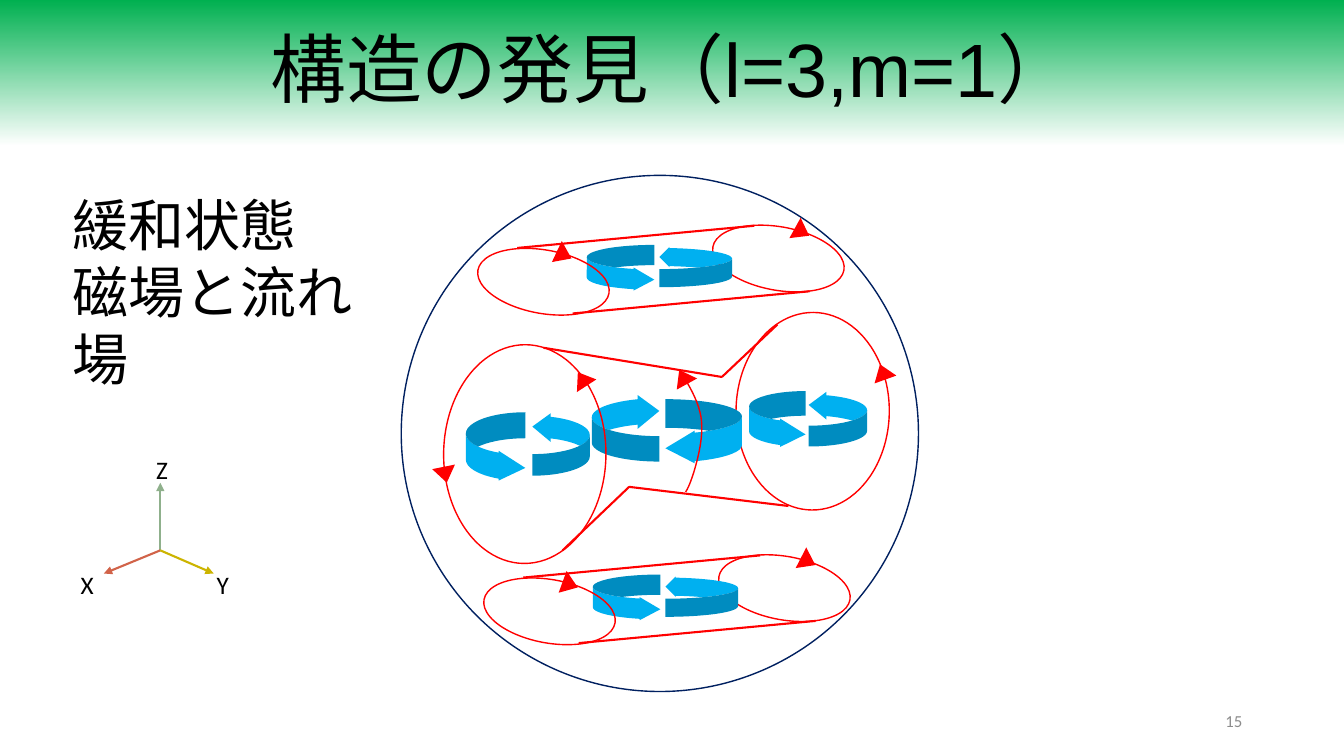
"""Build the slide on the structure found for l=3, m=1."""
from lxml.etree import SubElement
from pptx import Presentation
from pptx.dml.color import RGBColor
from pptx.enum.shapes import MSO_CONNECTOR, MSO_SHAPE as SHAPE
from pptx.enum.text import MSO_ANCHOR as ANCHOR, PP_ALIGN as ALIGN
from pptx.oxml.ns import qn
from pptx.util import Inches, Pt

BLACK = RGBColor(0x00, 0x00, 0x00)
WHITE = RGBColor(0xFF, 0xFF, 0xFF)
GRAY = RGBColor(0x8C, 0x8C, 0x8C)
GREEN = RGBColor(0x00, 0xB0, 0x50)
NAVY = RGBColor(0x00, 0x20, 0x60)
RED = RGBColor(0xFF, 0x00, 0x00)
BLUE = RGBColor(0x00, 0xB0, 0xF0)
AXIS_Z = RGBColor(0x8F, 0xB0, 0x8C)
AXIS_X = RGBColor(0xD1, 0x63, 0x49)
AXIS_Y = RGBColor(0xCC, 0xB4, 0x00)

RIGHT_TURN = (0.437, 0.5, 0.448)
LEFT_TURN = (0.376, 0.5, 0.321)
FLAT_TURN = (0.449, 0.5, 0.25)

prs = Presentation()
prs.slide_width, prs.slide_height = Inches(13.33), Inches(7.5)
slide = prs.slides.add_slide(prs.slide_layouts[6])
shapes = slide.shapes


def add_part(kind, box, fill=None, outline=None, turn=0, flips=(), adjust=()):
    part = shapes.add_shape(kind, *map(Inches, box))
    part.shadow.inherit = False
    part.rotation = turn
    for index, value in enumerate(adjust):
        part.adjustments[index] = value
    for flip in flips:
        part.element.spPr.find(qn("a:xfrm")).set(flip, "1")
    if fill is None:
        part.fill.background()
    else:
        part.fill.solid()
        part.fill.fore_color.rgb = fill
    if outline is None:
        part.line.fill.background()
    else:
        part.line.color.rgb = outline
        part.line.width = Pt(1)


def add_line(start, end, color, arrow=False):
    line = shapes.add_connector(MSO_CONNECTOR.STRAIGHT, *map(Inches, (*start, *end)))
    line.line.color.rgb = color
    line.line.width = Pt(1.5)
    if arrow:
        SubElement(line.line._get_or_add_ln(), qn("a:tailEnd"), type="triangle")
    SubElement(line.element.spPr, qn("a:effectLst"))


title = shapes.add_textbox(0, 0, prs.slide_width, Inches(1.45))
title.fill.gradient()
title.fill.gradient_angle = 270
for stop, color, position in zip(title.fill.gradient_stops, (GREEN, WHITE), (0, 1)):
    stop.color.rgb = color
    stop.position = position

page_number = shapes.add_textbox(*map(Inches, (9.42, 6.95, 3, 0.4)))
add_part(SHAPE.OVAL, (3.98, 1.74, 5.13, 5.12), outline=NAVY)

origin = (1.59, 5.46)
for tip, color in (((1.59, 4.79), AXIS_Z), ((1.03, 5.69), AXIS_X), ((2.12, 5.69), AXIS_Y)):
    add_line(origin, tip, color, arrow=True)

labels = [
    (title, ["構造の発見（l=3,m=1）"], True, ANCHOR.MIDDLE, ALIGN.CENTER,
     {"name": "Arial", "size": Pt(54)}, BLACK),
    (page_number, ["15"], True, ANCHOR.MIDDLE, ALIGN.RIGHT,
     {"name": "Calibri", "size": Pt(12)}, GRAY),
]
for axis_name, left, top in (("Z", 1.45, 4.46), ("Y", 2.05, 5.6), ("X", 0.7, 5.6)):
    axis_label = shapes.add_textbox(*map(Inches, (left, top, 0.28, 0.4)))
    labels.append((axis_label, [axis_name], False, ANCHOR.TOP, ALIGN.LEFT,
                   {"name": "Calibri", "size": Pt(18)}, BLACK))

add_part(SHAPE.OVAL, (7.3, 3.1, 1.52, 1.96), outline=RED, turn=0.5)
for tube_edge in (
    ((5.39, 3.45), (7.16, 3.74), (7.71, 3.22)),
    ((5.58, 5.46), (6.24, 4.83), (7.82, 5.02)),
):
    for start, end in zip(tube_edge, tube_edge[1:]):
        add_line(start, end, RED)

for kind, box, flips, adjust in (
    (SHAPE.CURVED_RIGHT_ARROW, (6.6, 3.96, 0.76, 0.65), ("flipH",), RIGHT_TURN),
    (SHAPE.CURVED_LEFT_ARROW, (5.87, 3.91, 0.67, 0.67), ("flipH", "flipV"), LEFT_TURN),
    (SHAPE.CURVED_LEFT_ARROW, (8.02, 3.88, 0.58, 0.55), ("flipV",), LEFT_TURN),
    (SHAPE.CURVED_RIGHT_ARROW, (7.43, 3.88, 0.56, 0.57), (), RIGHT_TURN),
    (SHAPE.CURVED_RIGHT_ARROW, (4.62, 4.09, 0.59, 0.7), (), RIGHT_TURN),
    (SHAPE.CURVED_LEFT_ARROW, (5.28, 4.09, 0.57, 0.63), ("flipV",), LEFT_TURN),
):
    add_part(kind, box, fill=BLUE, flips=flips, adjust=adjust)
add_part(SHAPE.OVAL, (4.4, 3.42, 1.61, 2.17), outline=RED, turn=0.5)

field_curve = (
    ((6.74, 3.67), (6.85, 3.85), (6.96, 4.03), (6.96, 4.23)),
    ((6.96, 4.23), (6.97, 4.44), (6.85, 4.82), (6.8, 4.88)),
)
steps = 12
curve_points = [
    tuple(
        Inches((1 - t) ** 3 * a + 3 * (1 - t) ** 2 * t * b + 3 * (1 - t) * t ** 2 * c + t ** 3 * d)
        for a, b, c, d in zip(*bend)
    )
    for bend in field_curve
    for t in (step / steps for step in range(1, steps + 1))
]
builder = shapes.build_freeform(Inches(6.74), Inches(3.67))
builder.add_line_segments(curve_points, close=False)
field_line = builder.convert_to_shape()
field_line.shadow.inherit = False
field_line.fill.background()
field_line.line.color.rgb = RED
field_line.line.width = Pt(1)

for left, top, turn in ((5.66, 3.68, 327), (8.64, 3.61, 340.2), (4.3, 4.63, 168.5), (6.66, 3.66, 331.3)):
    add_part(SHAPE.ISOSCELES_TRIANGLE, (left, top, 0.23, 0.16), fill=RED, turn=turn)

for dx, dy, head_turns in ((0, 0, (115.3, 118.8)), (0.06, 3.27, (110.1, 117.1))):
    add_part(SHAPE.CURVED_RIGHT_ARROW, (5.82 + dx, 2.43 + dy, 0.67, 0.46), fill=BLUE, adjust=RIGHT_TURN)
    for (left, top), turn in zip(((5.48, 2.45), (7.84, 2.22)), head_turns):
        add_part(SHAPE.ISOSCELES_TRIANGLE, (left + dx, top + dy, 0.23, 0.16), fill=RED, turn=turn)
    for x, y in ((5.68, 3.11), (5.13, 2.46)):
        add_line((x + dx, y + dy), (x + dx + 2.35, y + dy - 0.22), RED)
    for left, top in ((7.06, 2.25), (4.73, 2.48)):
        add_part(SHAPE.OVAL, (left + dx, top + dy, 1.32, 0.63), outline=RED, turn=10.1)
    add_part(SHAPE.CURVED_LEFT_ARROW, (6.54 + dx, 2.45 + dy, 0.72, 0.4),
             fill=BLUE, flips=("flipV",), adjust=FLAT_TURN)

state_note = shapes.add_textbox(*map(Inches, (0.62, 1.84, 3.44, 1.45)))
labels.append((state_note, ["緩和状態", "磁場と流れ場"], True, ANCHOR.TOP, ALIGN.LEFT,
               {"name": "Calibri", "size": Pt(40)}, BLACK))

for label, lines, wrap, anchor, align, font_format, color in labels:
    frame = label.text_frame
    frame.text = "\n".join(lines)
    frame.word_wrap = wrap
    frame.vertical_anchor = anchor
    for paragraph in frame.paragraphs:
        paragraph.alignment = align
        for attribute, value in font_format.items():
            setattr(paragraph.runs[0].font, attribute, value)
        paragraph.runs[0].font.color.rgb = color
title.text_frame.paragraphs[0].line_spacing = 0.9

prs.save("out.pptx")
